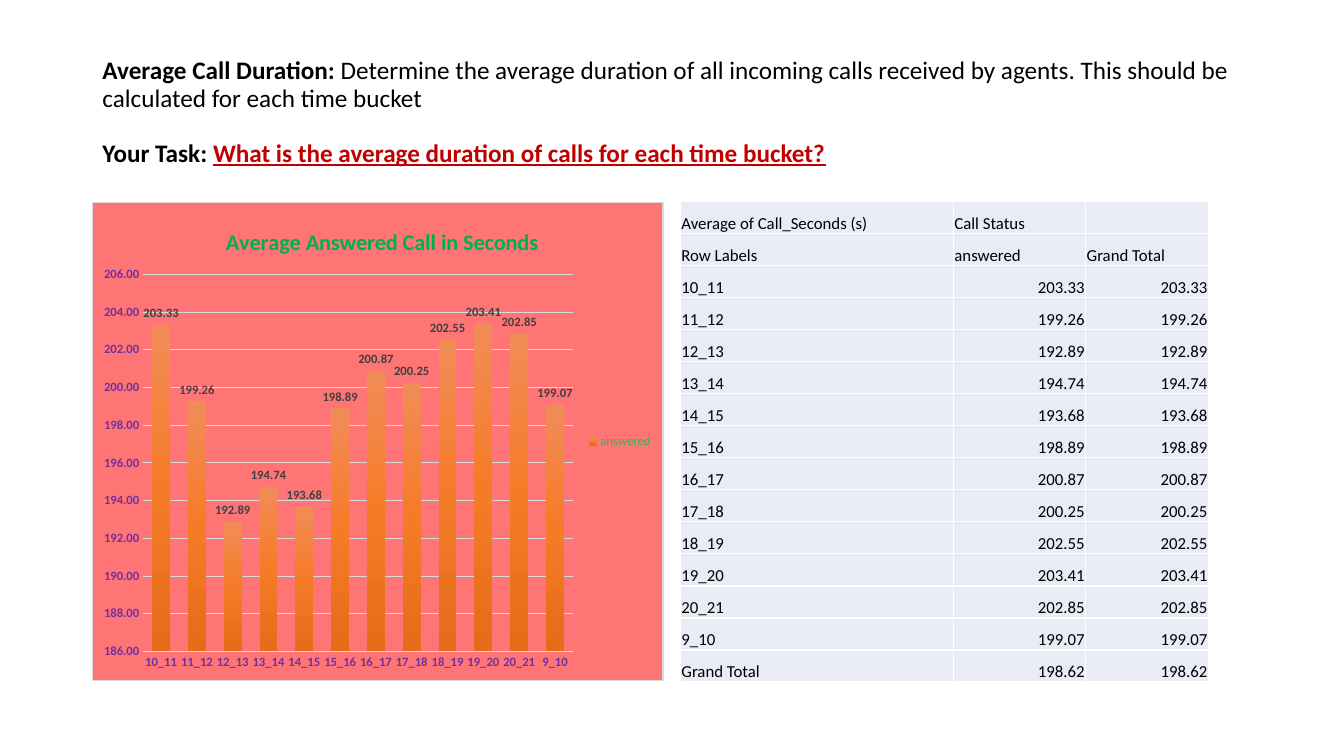
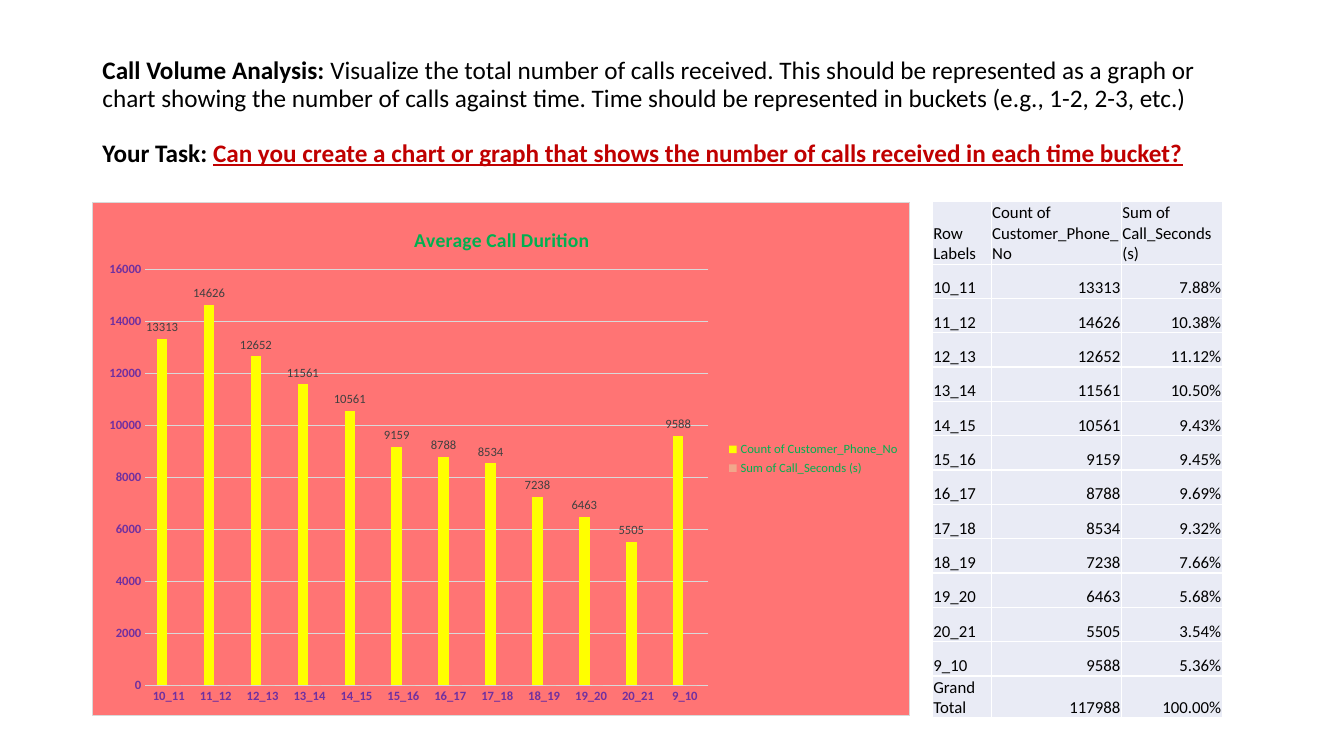
from lxml.etree import SubElement
from pptx import Presentation
from pptx.chart.data import CategoryChartData
from pptx.dml.color import RGBColor
from pptx.enum.chart import XL_CHART_TYPE, XL_LABEL_POSITION, XL_LEGEND_POSITION, XL_TICK_MARK
from pptx.enum.text import MSO_ANCHOR, MSO_AUTO_SIZE, PP_ALIGN
from pptx.oxml import parse_xml
from pptx.oxml.ns import nsdecls, qn
from pptx.util import Emu, Pt

EMU_PER_PX = 9525
FONT = "Calibri"
BLACK = RGBColor(0x00, 0x00, 0x00)
WHITE = RGBColor(0xFF, 0xFF, 0xFF)
TASK_RED = RGBColor(0xC0, 0x00, 0x00)
CHART_CORAL = RGBColor(0xFF, 0x74, 0x74)
TITLE_GREEN = RGBColor(0x00, 0xB0, 0x50)
LEGEND_GREEN = RGBColor(0x29, 0xB9, 0x5C)
AXIS_PURPLE = RGBColor(0x70, 0x30, 0xA0)
LABEL_GRAY = RGBColor(0x40, 0x40, 0x40)
LINE_GRAY = RGBColor(0xD9, 0xD9, 0xD9)
CELL_BLUE = RGBColor(0xE9, 0xEB, 0xF5)
YELLOW = RGBColor(0xFF, 0xFF, 0x00)
PEACH = RGBColor(0xF1, 0xA7, 0x8B)
ORANGES = (RGBColor(0xF1, 0x8C, 0x57), RGBColor(0xF6, 0x7B, 0x28), RGBColor(0xE5, 0x6C, 0x19))

CONTENT_LEFT, CONTENT_TOP, TABLE_HEIGHT = 88, 192, 458
BUCKETS = [f"{hour}_{hour + 1}" for hour in (*range(10, 21), 9)]
DURATIONS = (203.33, 199.26, 192.89, 194.74, 193.68, 198.89,
             200.87, 200.25, 202.55, 203.41, 202.85, 199.07)
CALLS = (13313, 14626, 12652, 11561, 10561, 9159, 8788, 8534, 7238, 6463, 5505, 9588)
SHARES = ("7.88%", "10.38%", "11.12%", "10.50%", "9.43%", "9.45%",
          "9.69%", "9.32%", "7.66%", "5.68%", "3.54%", "5.36%")


def px(length):
    return Emu(round(length * EMU_PER_PX))


def set_all(target, **values):
    for name, value in values.items():
        setattr(target, name, value)


def set_font(font, size, color, bold=False, **values):
    set_all(font, name=FONT, size=Pt(size), bold=bold, **values)
    font.color.rgb = color


def set_line(line, color, width):
    line.color.rgb = color
    line.width = Pt(width)


def manual_layout(frame, left, top, width=None, height=None, inner=False):
    """Layout XML for a chart part, with places given in px on the slide."""
    frame_left, frame_top, frame_width, frame_height = frame
    target = '<c:layoutTarget val="inner"/>' if inner else ""
    parts = {"xMode": "edge", "yMode": "edge",
             "x": (left - frame_left) / frame_width,
             "y": (top - frame_top) / frame_height}
    if width:
        parts.update(w=width / frame_width, h=height / frame_height)
    body = "".join(f'<c:{name} val="{value}"/>' for name, value in parts.items())
    return parse_xml(f'<c:layout {nsdecls("c")}><c:manualLayout>{target}{body}'
                     '</c:manualLayout></c:layout>')


def place_chart_part(part, layout):
    """Put the layout in part, where the schema wants it."""
    old = part.find(qn("c:layout"))
    if old is not None:
        part.remove(old)
    text = part.find(qn("c:tx"))
    if text is None:
        part.insert(0, layout)
    else:
        text.addnext(layout)


class Deck:
    def __init__(self):
        self.presentation = Presentation()
        set_all(self.presentation, slide_width=px(1280), slide_height=px(720))
        self.slide = None

    def add_slide(self, topic, description, task):
        layout = self.presentation.slide_layouts[5]
        self.slide = self.presentation.slides.add_slide(layout)
        title = self.slide.shapes.title
        set_all(title, left=px(CONTENT_LEFT), top=px(38), width=px(1104), height=px(139))
        frame = title.text_frame
        set_all(frame, word_wrap=True, auto_size=MSO_AUTO_SIZE.NONE,
                vertical_anchor=MSO_ANCHOR.MIDDLE)
        brief, question = frame.paragraphs[0], frame.add_paragraph()
        for paragraph, label, text, look in (
                (brief, topic, description, {"color": BLACK}),
                (question, "Your Task:", task,
                 {"color": TASK_RED, "bold": True, "underline": True})):
            set_all(paragraph, alignment=PP_ALIGN.LEFT, line_spacing=0.9, space_before=Pt(0))
            lead, rest = paragraph.add_run(), paragraph.add_run()
            lead.text, rest.text = f"{label} ", text
            set_font(lead.font, 18, BLACK, bold=True)
            set_font(rest.font, 18, **look)
        question.space_before = Pt(20)

    def add_table(self, left, column_widths, rows, header_rows=1):
        shape = self.slide.shapes.add_table(
            len(rows), len(column_widths), px(left), px(CONTENT_TOP),
            px(sum(column_widths)), px(TABLE_HEIGHT))
        table = shape.table
        set_all(table, first_row=False, horz_banding=False)
        for column, width in zip(table.columns, column_widths):
            column.width = px(width)
        for row_index, values in enumerate(rows):
            table.rows[row_index].height = px(TABLE_HEIGHT / len(rows))
            for column_index, value in enumerate(values):
                numeric = column_index > 0 and row_index >= header_rows
                self.fill_cell(table.cell(row_index, column_index), str(value), numeric)

    def fill_cell(self, cell, text, numeric):
        set_all(cell, margin_left=px(1), margin_right=px(1), margin_top=px(1),
                margin_bottom=0, vertical_anchor=MSO_ANCHOR.BOTTOM)
        cell.fill.solid()
        cell.fill.fore_color.rgb = CELL_BLUE
        properties = cell.fill._xPr
        for position, side in enumerate("LRTB"):
            properties.insert(position, parse_xml(
                f'<a:ln{side} {nsdecls("a")} w="{Pt(1)}"><a:solidFill>'
                f'<a:srgbClr val="{WHITE}"/></a:solidFill></a:ln{side}>'))
        if text:
            paragraph = cell.text_frame.paragraphs[0]
            paragraph.alignment = PP_ALIGN.RIGHT if numeric else PP_ALIGN.LEFT
            run = paragraph.add_run()
            run.text = text
            set_font(run.font, 12, BLACK)

    def add_column_chart(self, size, series, title, title_size, title_place, plot_box,
                         scale, number_format, gap, overlap, legend_color, bold_labels):
        """Series maps each name to its values and its colour or gradient."""
        frame = (CONTENT_LEFT, CONTENT_TOP, *size)
        data = CategoryChartData(number_format=number_format)
        data.categories = BUCKETS
        for name, (values, _) in series.items():
            data.add_series(name, values)
        chart = self.slide.shapes.add_chart(
            XL_CHART_TYPE.COLUMN_CLUSTERED, *map(px, frame), data).chart
        set_font(chart.font, 10, BLACK)
        chart.element.find(qn("c:chart")).addnext(parse_xml(
            f'<c:spPr {nsdecls("c", "a")}><a:solidFill><a:srgbClr val="{CHART_CORAL}"/>'
            f'</a:solidFill><a:ln w="{Pt(0.75)}"><a:solidFill><a:srgbClr val="{LINE_GRAY}"/>'
            '</a:solidFill></a:ln></c:spPr>'))

        chart.has_title = True
        heading = chart.chart_title.text_frame.paragraphs[0].add_run()
        heading.text = title
        set_font(heading.font, title_size, TITLE_GREEN, bold=True)
        chart.chart_title.include_in_layout = False
        place_chart_part(chart.element.find(".//" + qn("c:title")),
                         manual_layout(frame, *title_place))
        place_chart_part(chart.element.find(".//" + qn("c:plotArea")),
                         manual_layout(frame, *plot_box, inner=True))

        chart.has_legend = True
        set_all(chart.legend, position=XL_LEGEND_POSITION.RIGHT, include_in_layout=False)
        set_font(chart.legend.font, 9, legend_color)
        self.format_axes(chart, scale, number_format)

        plot = chart.plots[0]
        set_all(plot, gap_width=gap, overlap=overlap, vary_by_categories=False)
        for bars, (_, paint) in zip(plot.series, series.values()):
            bars.invert_if_negative = False
            if isinstance(paint, RGBColor):
                bars.format.fill.solid()
                bars.format.fill.fore_color.rgb = paint
            else:
                self.paint_gradient(chart, bars.format.fill, paint)
        labels = plot.series[0].data_labels
        set_all(labels, show_value=True, position=XL_LABEL_POSITION.OUTSIDE_END,
                number_format=number_format, number_format_is_linked=False)
        set_font(labels.font, 9, LABEL_GRAY, bold=bold_labels)

    def format_axes(self, chart, scale, number_format):
        buckets, amounts = chart.category_axis, chart.value_axis
        for axis in (buckets, amounts):
            set_all(axis, major_tick_mark=XL_TICK_MARK.NONE, minor_tick_mark=XL_TICK_MARK.NONE)
            set_font(axis.tick_labels.font, 9, AXIS_PURPLE, bold=True)
        set_line(buckets.format.line, LINE_GRAY, 0.75)
        amounts.format.line.fill.background()
        set_line(amounts.major_gridlines.format.line, LINE_GRAY, 0.75)
        low, high, step = scale
        set_all(amounts, minimum_scale=low, maximum_scale=high, major_unit=step)
        set_all(amounts.tick_labels, number_format=number_format,
                number_format_is_linked=False)

    def paint_gradient(self, chart, fill, colors):
        """Spread the colours evenly from top to bottom."""
        fill.gradient()
        fill.gradient_angle = 270
        stops = chart.element.find(".//" + qn("a:gsLst"))
        for stop in list(stops):
            stops.remove(stop)
        for index, color in enumerate(colors):
            position = 100000 * index // (len(colors) - 1)
            stop = SubElement(stops, qn("a:gs"), pos=str(position))
            SubElement(stop, qn("a:srgbClr"), val=str(color))


def add_duration_slide(deck):
    deck.add_slide(
        "Average Call Duration:",
        "Determine the average duration of all incoming calls received by agents. "
        "This should be calculated for each time bucket",
        "What is the average duration of calls for each time bucket?")
    deck.add_column_chart(
        size=(544, 457), series={"answered": (DURATIONS, ORANGES)},
        title="Average Answered Call in Seconds", title_size=16, title_place=(211, 212),
        plot_box=(136, 261, 410, 360), scale=(186, 206, 2), number_format="0.00",
        gap=100, overlap=-24, legend_color=LEGEND_GREEN, bold_labels=True)
    averages = [*zip(BUCKETS, DURATIONS, DURATIONS), ("Grand Total", 198.62, 198.62)]
    deck.add_table(
        648, (260, 126, 117),
        [("Average of Call_Seconds (s)", "Call Status", ""),
         ("Row Labels", "answered", "Grand Total"), *averages],
        header_rows=2)


def add_volume_slide(deck):
    deck.add_slide(
        "Call Volume Analysis:",
        "Visualize the total number of calls received. This should be represented as a graph "
        "or chart showing the number of calls against time. Time should be represented in "
        "buckets (e.g., 1-2, 2-3, etc.)",
        "Can you create a chart or graph that shows the number of calls received "
        "in each time bucket?")
    count, seconds = "Count of Customer_Phone_No", "Sum of Call_Seconds (s)"
    deck.add_table(
        888, (56, 124, 96),
        [("Row Labels", count, seconds), *zip(BUCKETS, CALLS, SHARES),
         ("Grand Total", sum(CALLS), "100.00%")])
    deck.add_column_chart(
        size=(779, 490),
        series={count: (CALLS, YELLOW), seconds: ([0] * len(BUCKETS), PEACH)},
        title="Average Call Durition", title_size=14, title_place=(391, 212),
        plot_box=(138, 256, 537, 397), scale=(0, 16000, 2000), number_format="General",
        gap=219, overlap=-27, legend_color=TITLE_GREEN, bold_labels=False)


def main():
    deck = Deck()
    add_duration_slide(deck)
    add_volume_slide(deck)
    deck.presentation.save("out.pptx")


if __name__ == "__main__":
    main()
